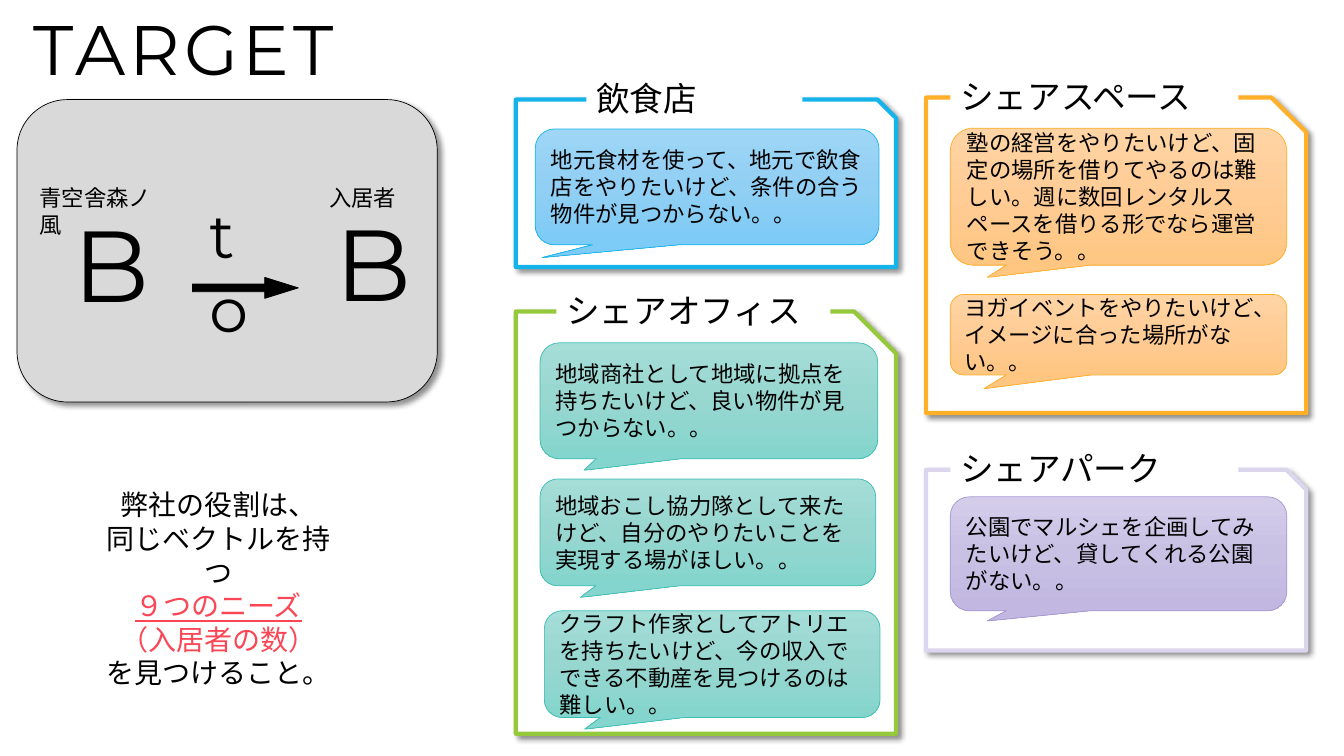
from copy import deepcopy

from lxml import etree
from pptx import Presentation
from pptx.dml.color import RGBColor
from pptx.enum.shapes import MSO_SHAPE as Shape
from pptx.enum.text import MSO_ANCHOR as Anchor, MSO_AUTO_SIZE as AutoSize, PP_ALIGN as Align
from pptx.oxml.ns import qn
from pptx.util import Cm, Pt

# Content: all lengths in centimetres
FONT = "Montserrat"
BLACK, WHITE, GREY, RED = "000000", "FFFFFF", "D9D9D9", "FA4655"
TITLE = "TARGET"

# Text on the B to B card: text, size, box
CARD_TEXTS = [
    ("B", 72, (1.6, 4.95, 1.7, 2.57)),
    ("t o", 44, (5.03, 4.83, 1.73, 1.65)),
    ("B", 72, (8.2, 4.93, 1.7, 2.57)),
    ("青空舎森ノ風", 16, (0.75, 4.52, 3.76, 0.94)),
    ("入居者", 16, (8.05, 4.52, 2.24, 0.94)),
]

ROLE_LINES = ["弊社の役割は、", "同じベクトルを持つ", "９つのニーズ", "（入居者の数）", "を見つけること。"]
RED_LINES = (2, 3)
UNDERLINED_LINE = 2

# Need panels: each bubble is text, box, tail position
PANEL_WIDTH, LABEL_HEIGHT, LABEL_RISE = 9.58, 1.27, 0.68
PANELS = [
    dict(label="飲食店", left=13, top=2.51, height=4.22, label_left=14.78, label_width=5.44,
         frame="14B4EB", outline="14B4EB", shades=("9FD6F6", "91CFF4", "7DCBF7"),
         bubbles=[("地元食材を使って、地元で飲食店をやりたいけど、条件の合う物件が見つからない。。",
                   (13.49, 3.25, 8.66, 2.92), (-0.48, 0.61))]),
    dict(label="シェアスペース", left=23.34, top=2.46, height=7.95, label_left=23.95, label_width=7.26,
         frame="FFAF28", outline="FFAF28", shades=("FFD4A4", "FFCC95", "FFC682"),
         bubbles=[("塾の経営をやりたいけど、固定の場所を借りてやるのは難しい。"
                   "週に数回レンタルスペースを借りる形でなら運営できそう。。",
                   (23.95, 3.23, 8.48, 3.45), (-0.39, 0.59)),
                  ("ヨガイベントをやりたいけど、イメージに合った場所がない。。",
                   (23.95, 7.42, 8.48, 2.03), (-0.4, 0.67))]),
    dict(label="シェアオフィス", left=13, top=7.85, height=10.64, label_left=14.02, label_width=6.91,
         frame="96C83C", outline="3CBEB4", shades=("A5DDD7", "97D7D0", "84D5CD"),
         bubbles=[("地域商社として地域に拠点を持ちたいけど、良い物件が見つからない。。",
                   (13.61, 8.64, 8.51, 2.92), (-0.37, 0.6)),
                  ("地域おこし協力隊として来たけど、自分のやりたいことを実現する場がほしい。。",
                   (13.61, 12.07, 8.46, 2.69), (-0.38, 0.61)),
                  ("クラフト作家としてアトリエを持ちたいけど、今の収入でできる不動産を見つけるのは難しい。。",
                   (13.72, 15.39, 8.46, 2.69), (-0.38, 0.61))]),
    dict(label="シェアパーク", left=23.34, top=11.84, height=4.55, label_left=23.95, label_width=7.26,
         frame="DBD5ED", outline="A596D2", shades=("D4CDEA", "C9C1E4", "C1B7E1"),
         bubbles=[("公園でマルシェを企画してみたいけど、貸してくれる公園がない。。",
                   (23.95, 12.52, 8.48, 2.87), (-0.39, 0.59))]),
]


def color(value):
    return RGBColor.from_string(value)


def write(shape, text, size, align=Align.LEFT, anchor=Anchor.TOP):
    frame = shape.text_frame
    frame.text = text
    frame.word_wrap = True
    frame.auto_size = AutoSize.NONE
    frame.vertical_anchor = anchor
    for paragraph in frame.paragraphs:
        paragraph.alignment = align
        for run in paragraph.runs:
            run.font.name, run.font.size = FONT, Pt(size)
            run.font.color.rgb = color(BLACK)


def add_text(slide, text, size, box, align=Align.LEFT):
    textbox = slide.shapes.add_textbox(*map(Cm, box))
    write(textbox, text, size, align)
    return textbox


def add_shape(slide, kind, box, fill=None, line=None, line_width=0.5, adjustments=()):
    shape = slide.shapes.add_shape(kind, *map(Cm, box))
    shape.shadow.inherit = False
    for index, value in enumerate(adjustments):
        shape.adjustments[index] = value
    if fill:
        shape.fill.solid()
        shape.fill.fore_color.rgb = color(fill)
    if line:
        shape.line.color.rgb = color(line)
        shape.line.width = Pt(line_width)
    else:
        shape.line.fill.background()
    return shape


def add_shadow(shape):
    effects = shape._element.spPr.find(qn("a:effectLst"))
    shadow = etree.SubElement(effects, qn("a:outerShdw"), blurRad=str(Pt(4)), dist=str(Pt(3)),
                              dir="2700000", algn="tl", rotWithShape="0")
    tint = etree.SubElement(shadow, qn("a:srgbClr"), val=BLACK)
    etree.SubElement(tint, qn("a:alpha"), val="43000")


def shade(shape, shades):
    """Fill from top to bottom with three evenly spaced shades."""
    shape.fill.gradient()
    shape.fill.gradient_angle = 270
    first = shape._element.spPr.find(".//" + qn("a:gs"))
    first.addnext(deepcopy(first))
    for index, stop in enumerate(shape.fill.gradient_stops):
        stop.position = index / 2
        stop.color.rgb = color(shades[index])


def add_panel(slide, panel):
    left, top = panel["left"], panel["top"]
    frame = add_shape(slide, Shape.SNIP_1_RECTANGLE, (left, top, PANEL_WIDTH, panel["height"]),
                      WHITE, panel["frame"], 3, (0.11,))
    add_shadow(frame)
    for text, box, tail in panel["bubbles"]:
        bubble = add_shape(slide, Shape.ROUNDED_RECTANGULAR_CALLOUT, box,
                           line=panel["outline"], adjustments=tail)
        shade(bubble, panel["shades"])
        write(bubble, text, 16, anchor=Anchor.MIDDLE)
    label_box = (panel["label_left"], top - LABEL_RISE, panel["label_width"], LABEL_HEIGHT)
    label = add_shape(slide, Shape.RECTANGLE, label_box, WHITE)
    write(label, panel["label"], 24, Align.JUSTIFY)


def main():
    presentation = Presentation()
    presentation.slide_width, presentation.slide_height = Cm(33.87), Cm(19.05)
    slide = presentation.slides.add_slide(presentation.slide_layouts[5])

    # Title
    title = slide.shapes.title
    title.left, title.top, title.width, title.height = map(Cm, (0, 0, 9.27, 2.39))
    write(title, TITLE, 50, Align.CENTER)
    title.text_frame.paragraphs[0].runs[0].font._element.set("spc", "300")

    # B to B card
    card = add_shape(slide, Shape.ROUNDED_RECTANGLE, (0.43, 2.51, 10.59, 7.62), GREY, BLACK)
    add_shadow(card)
    add_shape(slide, Shape.RIGHT_ARROW, (4.85, 6.99, 2.67, 0.53), BLACK, BLACK,
              adjustments=(0.36, 1.6))
    for text, size, box in CARD_TEXTS:
        add_text(slide, text, size, box)

    # Need panels
    for panel in PANELS:
        add_panel(slide, panel)

    # Role statement
    role = add_text(slide, "\n".join(ROLE_LINES), 20, (2.41, 12.17, 6.2, 4.52), Align.CENTER)
    for index in RED_LINES:
        font = role.text_frame.paragraphs[index].runs[0].font
        font.color.rgb = color(RED)
        font.underline = index == UNDERLINED_LINE

    presentation.save("out.pptx")


if __name__ == "__main__":
    main()
